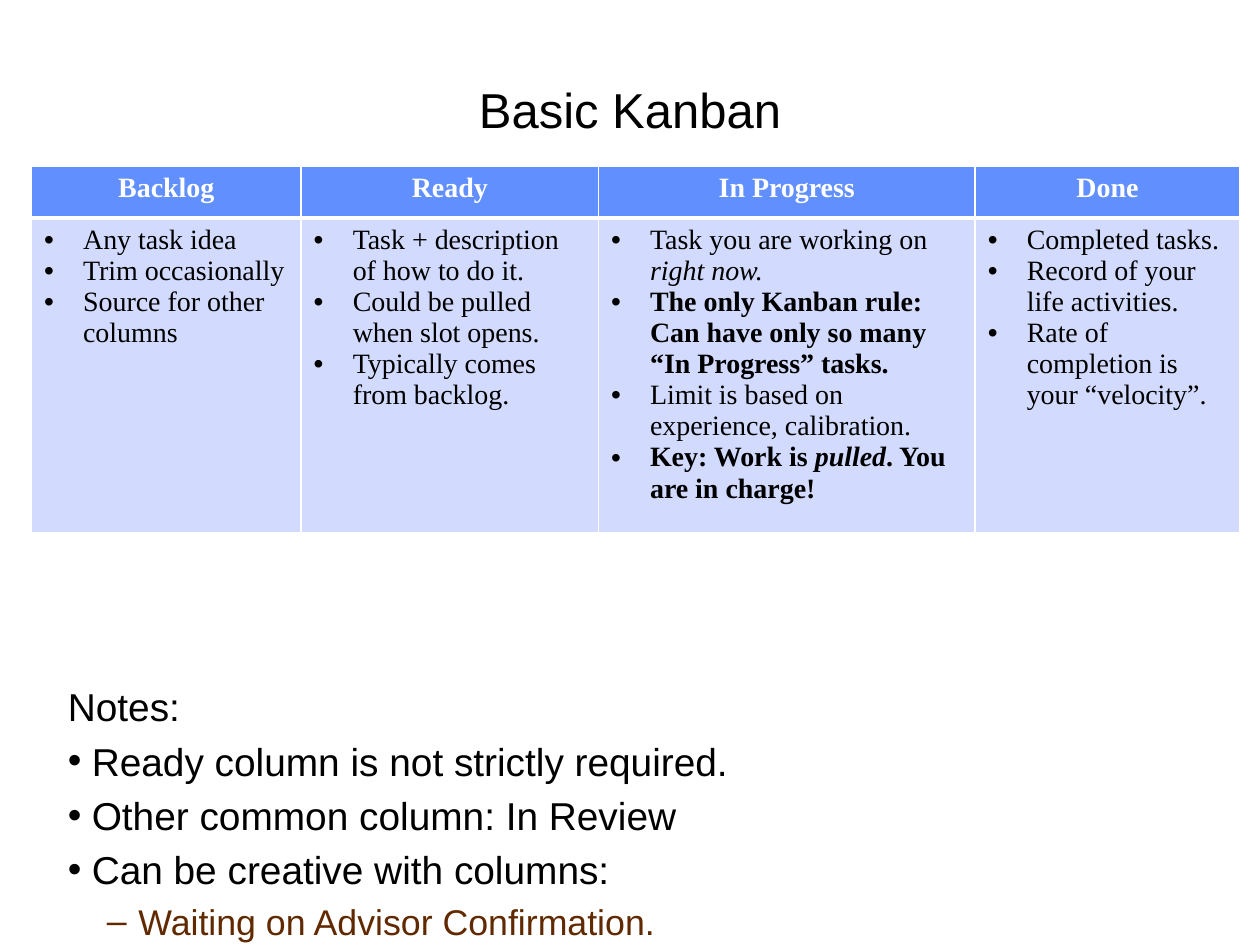
from dataclasses import dataclass

from lxml import etree
from pptx import Presentation
from pptx.dml.color import RGBColor
from pptx.enum.text import MSO_ANCHOR, PP_ALIGN
from pptx.oxml.ns import qn
from pptx.util import Inches, Pt

CENTER = PP_ALIGN.CENTER
MIDDLE, TOP = MSO_ANCHOR.MIDDLE, MSO_ANCHOR.TOP

COLORS = {
    "white": "FFFFFF",
    "black": "000000",
    "header": "618FFD",
    "body": "D2DBFE",
    "brown": "612900",
}
TITLE = {"name": "Arial", "size": Pt(28)}
NOTE = {"name": "Arial", "size": Pt(22.2)}
SUBNOTE = {"name": "Arial", "size": Pt(20.4)}
CELL = {"name": "Times New Roman", "size": Pt(16)}
HEADING = {**CELL, "bold": True}
ROW_HEIGHT = 0.41


@dataclass(frozen=True)
class Span:
    text: str
    bold: bool = False
    italic: bool = False


@dataclass(frozen=True)
class Column:
    heading: str
    width: float
    items: tuple[tuple[Span, ...], ...]


@dataclass(frozen=True)
class Note:
    text: str
    margin: float = 0.38
    indent: float = -0.19
    bullet: str = "•"
    color: str = "black"
    level: int = 0


COLUMNS = (
    Column("Backlog", 2.14, (
        (Span("Any task idea"),),
        (Span("Trim occasionally"),),
        (Span("Source for other columns"),),
    )),
    Column("Ready", 2.36, (
        (Span("Task + description of how to do it."),),
        (Span("Could be pulled when slot opens."),),
        (Span("Typically comes from backlog."),),
    )),
    Column("In Progress", 2.99, (
        (Span("Task you are working on "), Span("right now.", italic=True)),
        (Span("The only Kanban rule: Can have only so many “In Progress” tasks.", bold=True),),
        (Span("Limit is based on experience, calibration."),),
        (Span("Key: Work is ", bold=True), Span("pulled", bold=True, italic=True),
         Span(". You are in charge!", bold=True)),
    )),
    Column("Done", 2.1, (
        (Span("Completed tasks."),),
        (Span("Record of your life activities."),),
        (Span("Rate of completion is your “velocity”."),),
    )),
)

NOTES = (
    Note("Notes:", 0.19, 0, ""),
    Note("Ready column is not strictly required."),
    Note("Other common column: In Review"),
    Note("Can be creative with columns:"),
    Note("Waiting on Advisor Confirmation.", 0.75, -0.25, "–", "brown", 1),
)


def rgb(color: str) -> RGBColor:
    return RGBColor.from_string(COLORS[color])


def add_run(p, text: str, color: str, fmt: dict) -> None:
    r = p.add_run()
    r.text = text
    for key, value in fmt.items():
        setattr(r.font, key, value)
    r.font.color.rgb = rgb(color)


def set_bullet(p, margin: float, indent: float, bullet: str) -> None:
    pPr = p._p.get_or_add_pPr()
    pPr.set("marL", str(Inches(margin)))
    pPr.set("indent", str(Inches(indent)))
    if bullet:
        etree.SubElement(pPr, qn("a:buFont"), typeface="Arial")
        etree.SubElement(pPr, qn("a:buChar"), char=bullet)


def add_text_box(s, left: float, top: float, width: float, height: float, anchor):
    sp = s.shapes.add_textbox(Inches(left), Inches(top), Inches(width), Inches(height))
    tf = sp.text_frame
    tf.word_wrap = True
    tf.vertical_anchor = anchor
    return tf


def next_paragraph(tf, index: int):
    return tf.add_paragraph() if index else tf.paragraphs[0]


def style_cell(cell, fill: str, top: float, bottom: float) -> None:
    tcPr = cell._tc.get_or_add_tcPr()
    for side, width in (("L", 1), ("R", 1), ("T", top), ("B", bottom)):
        ln = etree.SubElement(tcPr, qn(f"a:ln{side}"), w=str(Pt(width)))
        solid = etree.SubElement(ln, qn("a:solidFill"))
        etree.SubElement(solid, qn("a:srgbClr"), val=COLORS["white"])
    cell.fill.solid()
    cell.fill.fore_color.rgb = rgb(fill)


def draw_title(s) -> None:
    tf = add_text_box(s, 0.25, 0.31, 9.5, 1.11, MIDDLE)
    p = tf.paragraphs[0]
    p.alignment = CENTER
    add_run(p, "Basic Kanban", "black", TITLE)


def draw_board(s) -> None:
    width = sum(column.width for column in COLUMNS)
    table = s.shapes.add_table(2, len(COLUMNS), Inches(0.25), Inches(1.32),
                               Inches(width), Inches(2 * ROW_HEIGHT)).table
    for i, column in enumerate(COLUMNS):
        table.columns[i].width = Inches(column.width)
        head, body = table.cell(0, i), table.cell(1, i)
        style_cell(head, "header", 1, 3)
        style_cell(body, "body", 3, 1)
        p = head.text_frame.paragraphs[0]
        p.alignment = CENTER
        add_run(p, column.heading, "white", HEADING)
        for j, spans in enumerate(column.items):
            p = next_paragraph(body.text_frame, j)
            set_bullet(p, 0.31, -0.31, "•")
            for span in spans:
                fmt = {**CELL, "bold": span.bold, "italic": span.italic}
                add_run(p, span.text, "black", fmt)


def draw_notes(s) -> None:
    tf = add_text_box(s, 0.25, 5.37, 9.75, 1.86, TOP)
    for i, note in enumerate(NOTES):
        p = next_paragraph(tf, i)
        p.level = note.level
        fmt = SUBNOTE if note.level else NOTE
        p.space_before = Pt(0.2 * fmt["size"].pt if i else 0)
        set_bullet(p, note.margin, note.indent, note.bullet)
        add_run(p, note.text, note.color, fmt)


def main() -> None:
    prs = Presentation()
    prs.slide_width, prs.slide_height = Inches(10), Inches(7.5)
    s = prs.slides.add_slide(prs.slide_layouts[6])
    draw_title(s)
    draw_board(s)
    draw_notes(s)
    prs.save("out.pptx")


if __name__ == "__main__":
    main()
